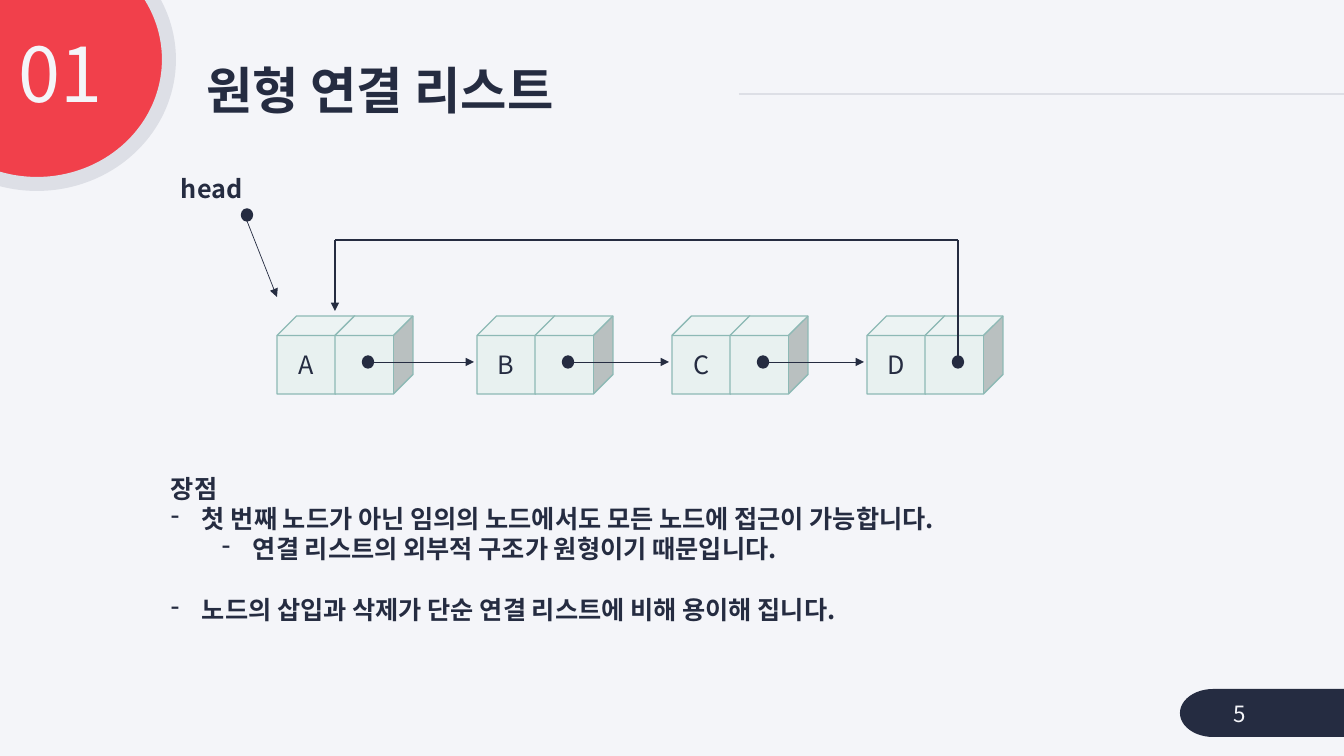
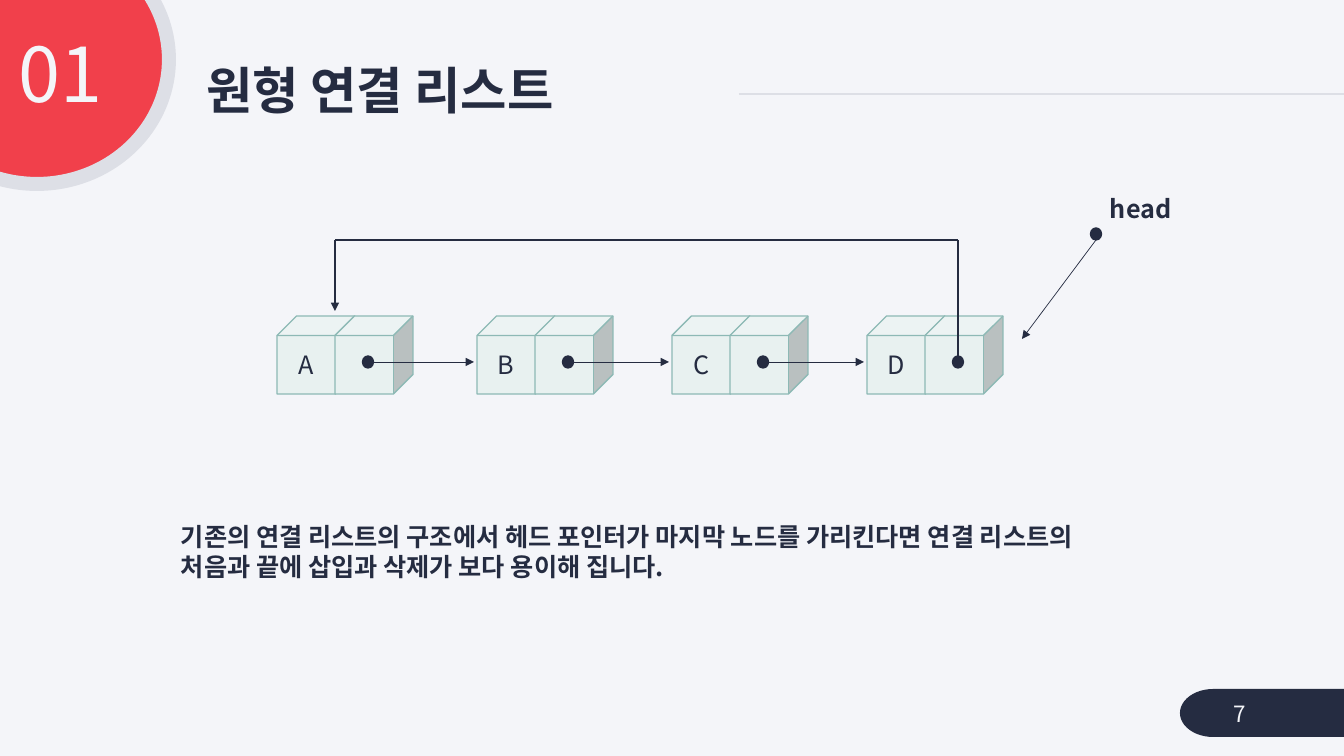
from itertools import pairwise

from lxml.etree import SubElement
from pptx import Presentation
from pptx.dml.color import RGBColor
from pptx.enum.shapes import MSO_CONNECTOR as Connector, MSO_SHAPE as Shape
from pptx.enum.text import MSO_ANCHOR as Anchor, MSO_AUTO_SIZE as AutoSize, PP_ALIGN as Align
from pptx.oxml.ns import qn
from pptx.util import Pt

SLIDE_WIDTH, SLIDE_HEIGHT = 1344, 756
FONT = "Noto Sans CJK KR"
COLORS = {
    "paper": "F4F5F9",
    "navy": "252C41",
    "red": "F1404B",
    "gray": "DDDFE6",
    "mint": "E8F1F0",
    "teal": "8DB9B5",
}
TITLE = "원형 연결 리스트"
SECTION = "01"

NODES = {"A": 277, "B": 477, "C": 672, "D": 867}
NODE_TOP, CUBE_SIZE, CELL_WIDTH = 316, 78, 58
DOT_WIDTH, DOT_HEIGHT = 11, 12
POINTER_X, POINTER_Y = 91, 46
ARROW_GAP = 3
RETURN_TOP, RETURN_END = 240, 311

ADVANTAGES = [
    ("장점", None, 0),
    ("첫 번째 노드가 아닌 임의의 노드에서도 모든 노드에 접근이 가능합니다.", 0, 0),
    ("연결 리스트의 외부적 구조가 원형이기 때문입니다.", 1, 0),
    ("노드의 삽입과 삭제가 단순 연결 리스트에 비해 용이해 집니다.", 0, 22),
]
TAIL_POINTER = [
    ("기존의 연결 리스트의 구조에서 헤드 포인터가 마지막 노드를 가리킨다면 연결 리스트의", None, 0),
    ("처음과 끝에 삽입과 삭제가 보다 용이해 집니다.", None, 0),
]


def px(length):
    return round(length * 914400 / 100.8)


def color(name):
    return RGBColor.from_string(COLORS[name])


def add_run(paragraph, text, size, name="navy", bold=False):
    run = paragraph.add_run()
    run.text = text
    run.font.size = Pt(size)
    run.font.name = FONT
    run.font.bold = bold
    run.font.color.rgb = color(name)
    SubElement(run.font._element, qn("a:ea"), typeface=FONT)


def add_shape(slide, kind, box, fill, line=None, width=1):
    shape = slide.shapes.add_shape(kind, *map(px, box))
    shape.shadow.inherit = False
    shape.fill.solid()
    shape.fill.fore_color.rgb = color(fill)
    if line:
        shape.line.color.rgb = color(line)
        shape.line.width = Pt(width)
    else:
        shape.line.fill.background()
    return shape


def add_line(slide, start, end, width, name="navy", arrow=False):
    line = slide.shapes.add_connector(Connector.STRAIGHT, *map(px, (*start, *end)))
    line.line.color.rgb = color(name)
    line.line.width = Pt(width)
    if arrow:
        SubElement(line.line._get_or_add_ln(), qn("a:tailEnd"), type="triangle")
    SubElement(line._element.spPr, qn("a:effectLst"))


def add_text_box(slide, box, anchor=Anchor.TOP, wrap=True):
    frame = slide.shapes.add_textbox(*map(px, box)).text_frame
    frame.word_wrap = wrap
    frame.vertical_anchor = anchor
    return frame


def add_label(slide, box, text, size, name="navy", bold=False, anchor=Anchor.TOP):
    paragraph = add_text_box(slide, box, anchor).paragraphs[0]
    add_run(paragraph, text, size, name, bold)
    return paragraph


def add_dot(slide, x, y):
    box = (x - DOT_WIDTH / 2, y - DOT_HEIGHT / 2, DOT_WIDTH, DOT_HEIGHT)
    add_shape(slide, Shape.OVAL, box, "navy", "navy")


def add_title(slide, box):
    title = slide.shapes.title
    title.left, title.top, title.width, title.height = map(px, box)
    frame = title.text_frame
    frame.auto_size = AutoSize.NONE
    frame.vertical_anchor = Anchor.MIDDLE
    paragraph = frame.paragraphs[0]
    paragraph.alignment = Align.LEFT
    paragraph.line_spacing = 0.9
    add_run(paragraph, TITLE, 36, bold=True)


def add_frame(slide, page):
    add_line(slide, (739, 94), (SLIDE_WIDTH, 94), 1.5, "gray")
    add_shape(slide, Shape.OVAL, (-95, -65, 264, 249), "red", "gray", 10)
    add_shape(slide, Shape.FLOWCHART_TERMINATOR, (1180, 689, 207, 48), "navy")
    add_title(slide, (196, 59, 543, 68))
    section = add_label(slide, (-11, 32, 123, 93), SECTION, 54, "paper")
    section.alignment = Align.RIGHT
    section.line_spacing = 0.9
    add_label(slide, (1224, 694, 110, 40), page, 16, "paper", anchor=Anchor.MIDDLE)


def add_node(slide, name, left):
    cells = [
        add_shape(slide, Shape.CUBE, (left + column * CELL_WIDTH, NODE_TOP, CUBE_SIZE, CUBE_SIZE), "mint", "teal")
        for column in range(2)
    ]
    frame = cells[0].text_frame
    frame.vertical_anchor = Anchor.MIDDLE
    frame.paragraphs[0].alignment = Align.CENTER
    add_run(frame.paragraphs[0], name, 18)
    add_dot(slide, left + POINTER_X, NODE_TOP + POINTER_Y)


def add_circular_list(slide):
    for name, left in NODES.items():
        add_node(slide, name, left)
    pointer_y = NODE_TOP + POINTER_Y
    lefts = list(NODES.values())
    for left, following in pairwise(lefts):
        start = (left + POINTER_X + DOT_WIDTH / 2, pointer_y)
        add_line(slide, start, (following - ARROW_GAP, pointer_y), 0.5, arrow=True)
    first_x, last_x = lefts[0] + CELL_WIDTH, lefts[-1] + POINTER_X
    route = [(last_x, pointer_y), (last_x, RETURN_TOP), (first_x, RETURN_TOP), (first_x, RETURN_END)]
    for start, end in pairwise(route):
        add_line(slide, start, end, 1.5, arrow=end == route[-1])


def add_head(slide, label_corner, dot, target):
    add_line(slide, (dot[0], dot[1] + DOT_HEIGHT / 2), target, 0.5, arrow=True)
    add_dot(slide, *dot)
    add_label(slide, (*label_corner, 93, 40), "head", 18, bold=True)


def add_notes(slide, box, lines):
    frame = add_text_box(slide, box, wrap=False)
    for index, (text, level, space) in enumerate(lines):
        paragraph = frame.paragraphs[0] if index == 0 else frame.add_paragraph()
        if space:
            paragraph.space_before = Pt(space)
        if level is not None:
            paragraph.level = level
            properties = paragraph._p.get_or_add_pPr()
            properties.set("marL", str(px(31 + 51 * level)))
            properties.set("indent", str(px(-31)))
            SubElement(properties, qn("a:buChar"), char="-")
        add_run(paragraph, text, 18, bold=True)


def add_list_slide(presentation, page, head, notes_box, lines):
    slide = presentation.slides.add_slide(presentation.slide_layouts[5])
    add_frame(slide, page)
    add_circular_list(slide)
    add_head(slide, *head)
    add_notes(slide, notes_box, lines)


def main():
    presentation = Presentation()
    presentation.slide_width, presentation.slide_height = px(SLIDE_WIDTH), px(SLIDE_HEIGHT)
    background = presentation.slide_master.background.fill
    background.solid()
    background.fore_color.rgb = color("paper")
    first_head = ((171, 168), (247, 215), (277, 297))
    last_head = ((1100, 188), (1096, 234), (1022, 339))
    add_list_slide(presentation, "5", first_head, (161, 468, 850, 194), ADVANTAGES)
    add_list_slide(presentation, "7", last_head, (171, 516, 995, 72), TAIL_POINTER)
    presentation.save("out.pptx")


if __name__ == "__main__":
    main()
